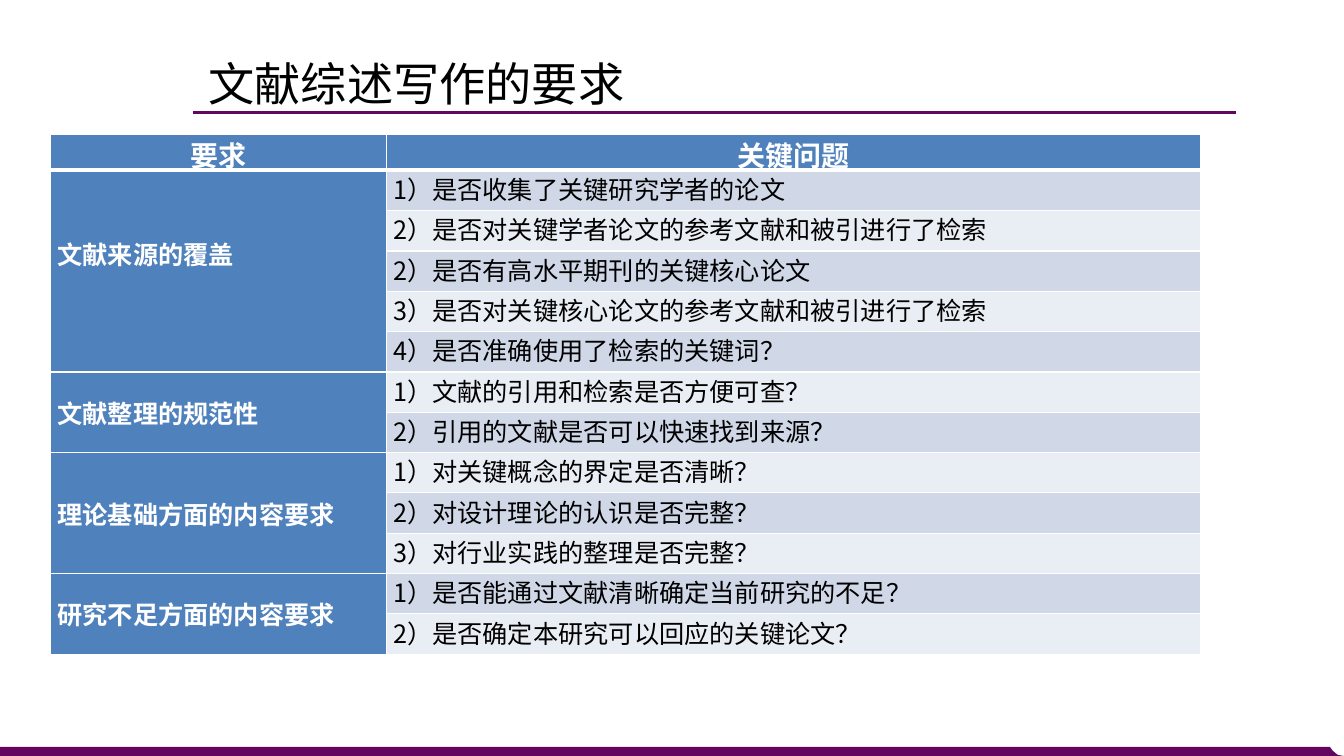
from dataclasses import dataclass

from lxml import etree
from pptx import Presentation
from pptx.dml.color import RGBColor
from pptx.enum.shapes import MSO_CONNECTOR
from pptx.enum.text import MSO_ANCHOR, MSO_AUTO_SIZE, PP_ALIGN
from pptx.oxml.ns import qn
from pptx.util import Inches, Pt

FONT = "Noto Sans CJK SC"
PURPLE, BLUE, WHITE, BLACK = "63065F", "4F81BD", "FFFFFF", "000000"
BANDS = ("D0D8E8", "E9EDF4")


@dataclass
class Requirement:
    name: str
    questions: list[str]
    lift: float = 0  # bottom margin that raises the name above the middle


@dataclass
class Style:
    size: float
    color: str
    bold: bool = False
    align: PP_ALIGN = PP_ALIGN.JUSTIFY


REQUIREMENTS = [
    Requirement("文献来源的覆盖", [
        "1）是否收集了关键研究学者的论文",
        "2）是否对关键学者论文的参考文献和被引进行了检索",
        "2）是否有高水平期刊的关键核心论文",
        "3）是否对关键核心论文的参考文献和被引进行了检索",
        "4）是否准确使用了检索的关键词？",
    ], lift=0.36),
    Requirement("文献整理的规范性", [
        "1）文献的引用和检索是否方便可查？",
        "2）引用的文献是否可以快速找到来源？",
    ]),
    Requirement("理论基础方面的内容要求", [
        "1）对关键概念的界定是否清晰？",
        "2）对设计理论的认识是否完整？",
        "3）对行业实践的整理是否完整？",
    ]),
    Requirement("研究不足方面的内容要求", [
        "1）是否能通过文献清晰确定当前研究的不足？",
        "2）是否确定本研究可以回应的关键论文？",
    ]),
]
TITLE = Style(33, BLACK, align=PP_ALIGN.CENTER)
HEADER = Style(20, WHITE, True, PP_ALIGN.CENTER)
NAME = Style(18, WHITE, True)
QUESTION = Style(18, BLACK)


def rgb(color: str) -> RGBColor:
    return RGBColor.from_string(color)


def write(frame, text: str, style: Style) -> None:
    para = frame.paragraphs[0]
    para.alignment = style.align
    span = para.add_run()
    span.text = text
    font = span.font
    font.size, font.bold, font.name = Pt(style.size), style.bold, FONT
    font.color.rgb = rgb(style.color)
    etree.SubElement(font._element, qn("a:ea"), typeface=FONT)


def add_borders(cell, bottom: float) -> None:
    properties = cell._tc.get_or_add_tcPr()
    for side, width in (("L", 1), ("R", 1), ("T", 1), ("B", bottom)):
        line = etree.SubElement(properties, qn(f"a:ln{side}"), w=str(int(Pt(width))))
        fill = etree.SubElement(line, qn("a:solidFill"))
        etree.SubElement(fill, qn("a:srgbClr"), val=WHITE)


def fill_cell(cell, text: str, style: Style, color: str) -> None:
    cell.fill.solid()
    cell.fill.fore_color.rgb = rgb(color)
    cell.margin_left = cell.margin_right = Inches(0.07)
    cell.margin_top = cell.margin_bottom = 0
    write(cell.text_frame, text, style)


def add_footer(page) -> None:
    corners = [(Inches(x), Inches(y)) for x, y in (
        (0, 7.41), (13.19, 7.41), (13.22, 7.45), (13.27, 7.49), (13.33, 7.5), (0, 7.5))]
    builder = page.shapes.build_freeform(*corners[0])
    builder.add_line_segments(corners[1:], close=True)
    bar = builder.convert_to_shape()
    bar.shadow.inherit = False
    bar.fill.solid()
    bar.fill.fore_color.rgb = rgb(PURPLE)
    bar.line.fill.background()


def add_title(page) -> None:
    rule = page.shapes.add_connector(MSO_CONNECTOR.STRAIGHT, Inches(1.91),
                                     Inches(1.12), Inches(12.26), Inches(1.12))
    rule.line.color.rgb = rgb(PURPLE)
    rule.line.width = Pt(2.25)
    etree.SubElement(rule._element.spPr, qn("a:effectLst"))
    box = page.shapes.add_textbox(Inches(1.92), Inches(0.5), Inches(4.42), Inches(0.66))
    box.text_frame.word_wrap = True
    box.text_frame.auto_size = MSO_AUTO_SIZE.SHAPE_TO_FIT_TEXT
    write(box.text_frame, "文献综述写作的要求", TITLE)


def add_requirements(page) -> None:
    count = sum(len(item.questions) for item in REQUIREMENTS)
    table = page.shapes.add_table(count + 1, 2, Inches(0.5), Inches(1.33),
                                  Inches(11.41), Inches(0.36 + 0.4 * count)).table
    for column, width in zip(table.columns, (3.33, 8.08)):
        column.width = Inches(width)
    for index, row in enumerate(table.rows):
        row.height = Inches(0.4 if index else 0.36)
        for cell in row.cells:
            add_borders(cell, 1 if index else 3)

    # Header row
    for column, heading in enumerate(("要求", "关键问题")):
        fill_cell(table.cell(0, column), heading, HEADER, BLUE)

    # One merged name cell beside its banded questions
    top = 1
    for item in REQUIREMENTS:
        name = table.cell(top, 0)
        name.merge(table.cell(top + len(item.questions) - 1, 0))
        fill_cell(name, item.name, NAME, BLUE)
        name.vertical_anchor = MSO_ANCHOR.MIDDLE
        name.margin_bottom = Inches(item.lift)
        for row, question in enumerate(item.questions, top):
            fill_cell(table.cell(row, 1), question, QUESTION, BANDS[(row - 1) % 2])
        top += len(item.questions)


def main() -> None:
    deck = Presentation()
    deck.slide_width, deck.slide_height = Inches(13.33), Inches(7.5)
    page = deck.slides.add_slide(deck.slide_layouts[6])
    add_footer(page)
    add_title(page)
    add_requirements(page)
    deck.save("out.pptx")


if __name__ == "__main__":
    main()
